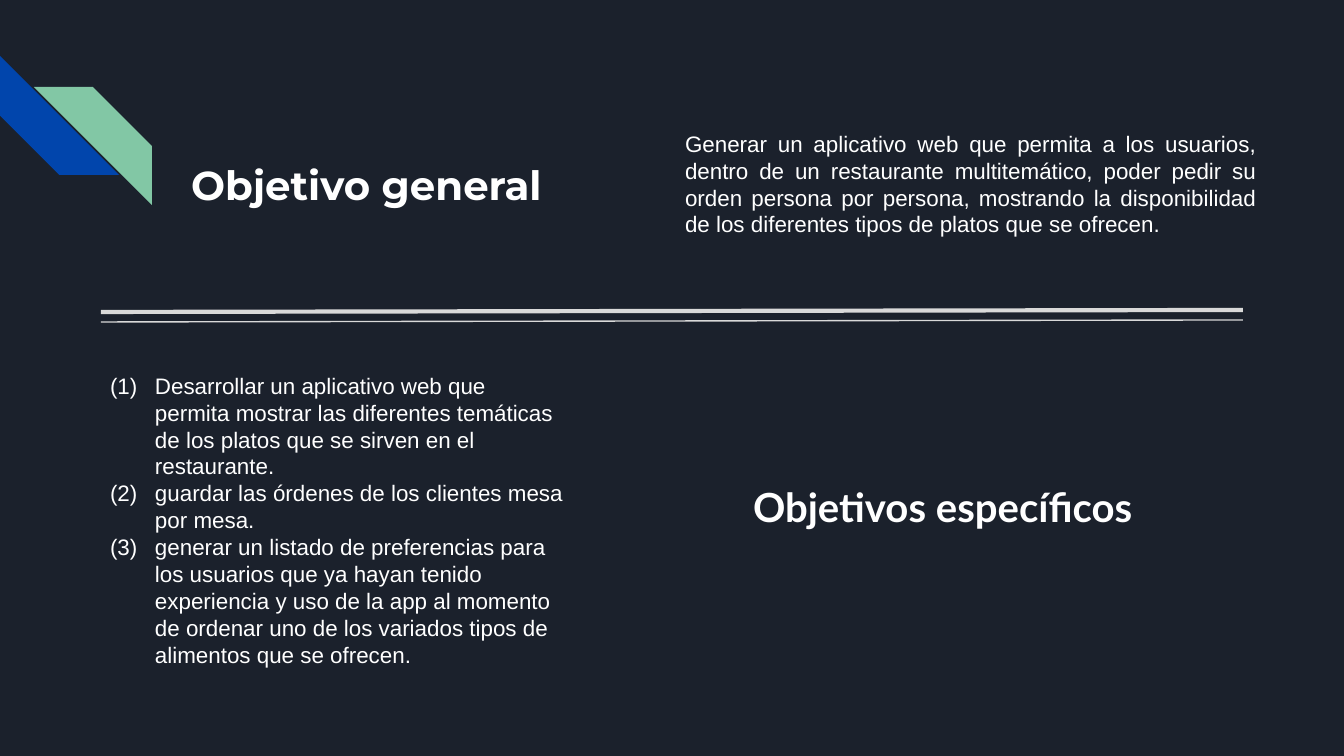
from lxml import etree
from pptx import Presentation
from pptx import util as u
from pptx.dml.color import RGBColor
from pptx.enum import shapes, text
from pptx.oxml.ns import qn

WHITE = "FFFFFF"
OBJECTIVES = [
    "Desarrollar un aplicativo web que permita mostrar las diferentes temáticas "
    "de los platos que se sirven en el restaurante.",
    "guardar las órdenes de los clientes mesa por mesa.",
    "generar un listado de preferencias para los usuarios que ya hayan tenido "
    "experiencia y uso de la app al momento de ordenar uno de los variados tipos "
    "de alimentos que se ofrecen.",
]
GENERAL = (
    "Generar un aplicativo web que permita a los usuarios, dentro de un restaurante "
    "multitemático, poder pedir su orden persona por persona, mostrando la "
    "disponibilidad de los diferentes tipos de platos que se ofrecen."
)
BODY = {"name": "Arial", "size": u.Pt(12), "bold": False}
BODY_SPACING = u.Pt(14.4)


def px(n):
    return u.Emu(round(n * 914400 / 134.4))


def rgb(value):
    return RGBColor.from_string(value)


def assign(target, values):
    for key, value in values.items():
        setattr(target, key, value)


class Deck:
    """Holds the presentation, its style and the current slide."""

    def __init__(self, width, height, background):
        self.prs = Presentation()
        assign(self.prs, {"slide_width": px(width), "slide_height": px(height)})
        self.s = self.prs.slides.add_slide(self.prs.slide_layouts[5])
        fill = self.s.background.fill
        fill.solid()
        fill.fore_color.rgb = rgb(background)

    def fill_text(self, sp, paragraphs, font, align, spacing=None, numbered=False):
        tf = sp.text_frame
        margins = {f"margin_{side}": px(13) for side in ("left", "right", "top", "bottom")}
        assign(tf, {"word_wrap": True, **margins})
        for i, words in enumerate(paragraphs):
            p = tf.paragraphs[0] if i == 0 else tf.add_paragraph()
            assign(p, {"alignment": align, "line_spacing": spacing})
            if numbered:
                self.number(p)
            r = p.add_run()
            r.text = words
            assign(r.font, font)
            r.font.color.rgb = rgb(WHITE)

    def number(self, p):
        """Give the paragraph a hanging (1), (2), (3) number."""
        pPr = p._p.get_or_add_pPr()
        pPr.set("marL", str(px(67)))
        pPr.set("indent", str(-px(45)))
        color = etree.SubElement(pPr, qn("a:buClr"))
        etree.SubElement(color, qn("a:srgbClr"), val=WHITE)
        etree.SubElement(pPr, qn("a:buFont"), typeface="Arial")
        etree.SubElement(pPr, qn("a:buAutoNum"), type="arabicParenBoth")

    def title(self, words, x, y, w, h, font):
        sp = self.s.shapes.title
        assign(sp, {"left": px(x), "top": px(y), "width": px(w), "height": px(h)})
        assign(sp.text_frame, {"auto_size": text.MSO_AUTO_SIZE.NONE,
                               "vertical_anchor": text.MSO_ANCHOR.MIDDLE})
        self.fill_text(sp, [words], font, text.PP_ALIGN.LEFT)

    def textbox(self, paragraphs, x, y, w, h, font, align=text.PP_ALIGN.LEFT, **options):
        sp = self.s.shapes.add_textbox(px(x), px(y), px(w), px(h))
        sp.text_frame.auto_size = text.MSO_AUTO_SIZE.SHAPE_TO_FIT_TEXT
        self.fill_text(sp, paragraphs, font, align, **options)

    def stripe(self, x, y, size, color, rotation=0, flip=False):
        sp = self.s.shapes.add_shape(shapes.MSO_SHAPE.DIAGONAL_STRIPE,
                                     px(x), px(y), px(size), px(size))
        sp.rotation = rotation
        sp.shadow.inherit = False
        sp.fill.solid()
        sp.fill.fore_color.rgb = rgb(color)
        sp.line.fill.background()
        if flip:
            sp._element.spPr.find(qn("a:xfrm")).set("flipH", "1")

    def line(self, x1, y1, x2, y2, color, weight):
        ln = self.s.shapes.add_connector(shapes.MSO_CONNECTOR.STRAIGHT,
                                         px(x1), px(y1), px(x2), px(y2))
        ln.line.color.rgb = rgb(color)
        ln.line.width = u.Pt(weight)
        etree.SubElement(ln._element.spPr, qn("a:effectLst"))


def main():
    deck = Deck(1344, 756, "1B212C")
    deck.stripe(0, 56, 119, "0145AC", rotation=270)
    deck.stripe(34, 87, 118, "82C7A5", flip=True)
    deck.title("Objetivo general", 178, 147, 415, 75,
               {"name": "Montserrat", "size": u.Pt(21.6), "bold": True})
    deck.textbox(["Objetivos específicos"], 740, 469, 464, 75,
                 {"name": "Lato", "size": u.Pt(21.5), "bold": True})
    deck.textbox([GENERAL], 672, 117, 598, 136, BODY,
                 align=text.PP_ALIGN.JUSTIFY, spacing=BODY_SPACING)
    for y, weight in ((312, 2.25), (322, 0.75)):
        deck.line(101, y, 1243, y - 2, "D9D9D9", weight)
    deck.textbox(OBJECTIVES, 75, 359, 502, 325, BODY,
                 spacing=BODY_SPACING, numbered=True)
    deck.prs.save("out.pptx")


if __name__ == "__main__":
    main()
